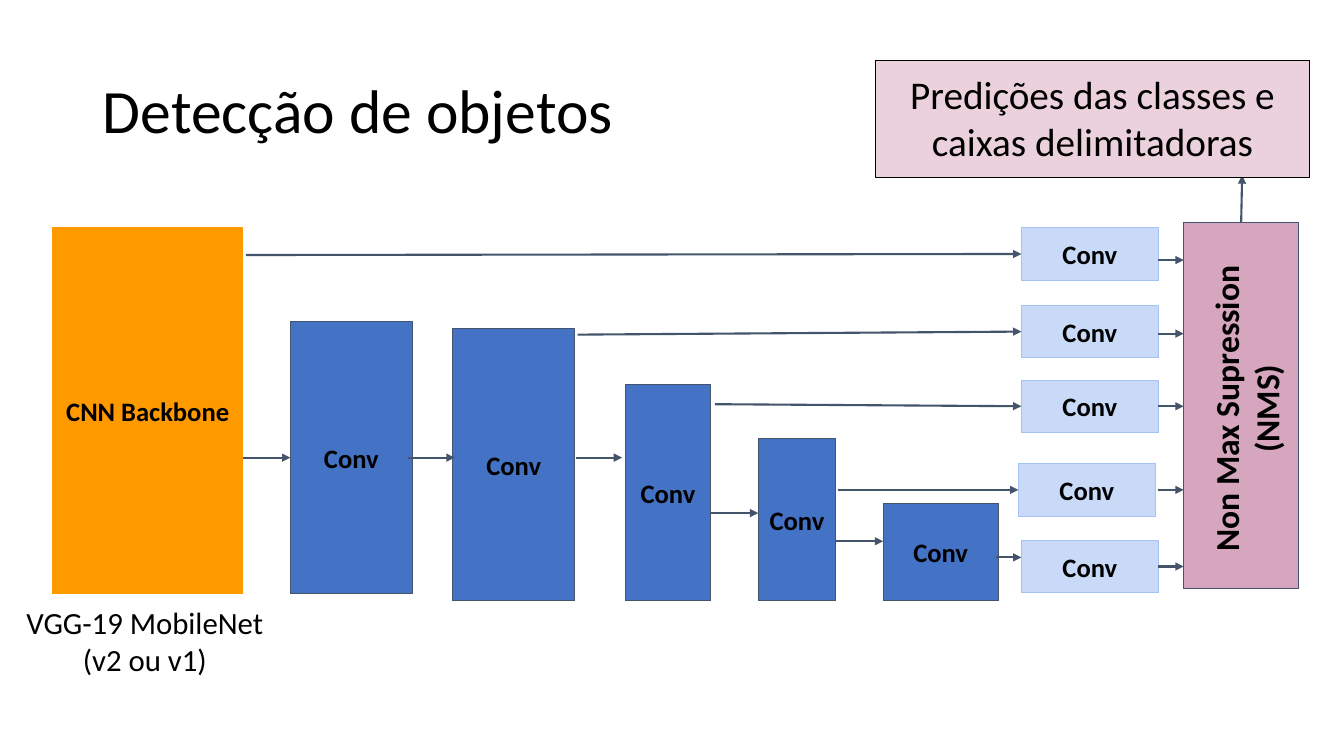
from pptx import Presentation
from pptx.dml.color import RGBColor
from pptx.enum.shapes import MSO_CONNECTOR, MSO_SHAPE
from pptx.enum.text import MSO_ANCHOR, MSO_AUTO_SIZE, PP_ALIGN
from pptx.oxml.ns import qn
from pptx.util import Inches, Pt
from lxml import etree

RECT = MSO_SHAPE.RECTANGLE
STRAIGHT = MSO_CONNECTOR.STRAIGHT
TOP, MIDDLE = MSO_ANCHOR.TOP, MSO_ANCHOR.MIDDLE
LEFT, CENTER = PP_ALIGN.LEFT, PP_ALIGN.CENTER
NO_FIT = MSO_AUTO_SIZE.NONE

BLACK = RGBColor(0x00, 0x00, 0x00)
ORANGE = RGBColor(0xFF, 0x99, 0x00)
BLUE = RGBColor(0x44, 0x72, 0xC4)
SLATE = RGBColor(0x44, 0x54, 0x6A)
PALE_BLUE = RGBColor(0xC9, 0xDA, 0xF8)
SKY = RGBColor(0xA4, 0xC2, 0xF4)
MAUVE = RGBColor(0xD5, 0xA6, 0xBD)
PINK = RGBColor(0xEA, 0xD1, 0xDC)

FONT = "Calibri"
SLIDE_W, SLIDE_H = 13.33, 7.5


def write(sp, text, size, bold=False, align=CENTER, anchor=MIDDLE):
    """Put one formatted paragraph in a shape."""
    tf = sp.text_frame
    frame = {"word_wrap": True, "auto_size": NO_FIT, "vertical_anchor": anchor}
    for side in ("left", "right", "top", "bottom"):
        frame["margin_" + side] = Inches(0.1)
    for name, value in frame.items():
        setattr(tf, name, value)
    p = tf.paragraphs[0]
    p.alignment = align
    r = p.add_run()
    r.text = text
    for name, value in {"name": FONT, "size": Pt(size), "bold": bold}.items():
        setattr(r.font, name, value)
    r.font.color.rgb = BLACK


def add_block(s, box, fill, line=None):
    """Add a flat rectangle, outlined when a line colour is given."""
    sp = s.shapes.add_shape(RECT, *map(Inches, box))
    sp.shadow.inherit = False
    sp.fill.solid()
    sp.fill.fore_color.rgb = fill
    if line is None:
        sp.line.fill.background()
    else:
        sp.line.color.rgb = line
        sp.line.width = Pt(0.75)
    return sp


def add_arrow(s, x1, y1, x2, y2):
    """Add a slate arrow between two points."""
    c = s.shapes.add_connector(STRAIGHT, *map(Inches, (x1, y1, x2, y2)))
    c.line.color.rgb = SLATE
    c.line.width = Pt(1.5)
    etree.SubElement(c.line._get_or_add_ln(), qn("a:tailEnd"), type="triangle")
    etree.SubElement(c._element.spPr, qn("a:effectLst"))


def add_title(s, box):
    """Move and format the title placeholder."""
    sp = s.shapes.title
    for name, value in zip(("left", "top", "width", "height"), box):
        setattr(sp, name, Inches(value))
    write(sp, "Detecção de objetos", 44, align=LEFT)
    sp.text_frame.paragraphs[0].line_spacing = 0.9


def add_backbone(s, box):
    """Draw the backbone block with its caption below."""
    x, y, w, h = box
    sp = add_block(s, box, ORANGE, ORANGE)
    write(sp, "CNN Backbone", 19, bold=True)
    caption = s.shapes.add_textbox(*map(Inches, (0, y + h, 1.52 * w, 0.77)))
    write(caption, "VGG-19 MobileNet (v2 ou v1)", 22, anchor=TOP)


def add_stages(s, box):
    """Draw the shrinking convolution stages and the arrows into them."""
    x, y, w, h = box
    stages = [
        (0, 0, 1.21, 2.7, -0.47, 0, 1.35),
        (1.61, 0.07, 1.21, 2.7, 1.17, 1.63, 1.35),
        (3.32, 0.62, 0.85, 2.15, 2.83, 3.29, 1.35),
        (4.64, 1.16, 0.77, 1.61, 4.17, 4.64, 1.9),
        (5.88, 1.81, 1.14, 0.96, 5.41, 5.88, 2.18),
    ]
    for dx, dy, bw, bh, start, end, level in stages:
        sp = add_block(s, (x + dx, y + dy, bw, bh), BLUE, SLATE)
        write(sp, "Conv", 19, bold=True)
        add_arrow(s, x + start, y + level, x + end, y + level)


def add_heads(s, box):
    """Draw the prediction heads with their incoming and outgoing arrows."""
    x, y, w, h = box
    heads = [
        (0, 0, 7.69, 0.27, 0.26, 0.32),
        (0, 0.77, 4.4, 1.06, 1.03, 1.05),
        (0, 1.51, 3.04, 1.75, 1.77, 1.77),
        (-0.03, 2.34, 1.82, 2.6, 2.6, 2.6),
        (0, 3.1, 0.25, 3.27, 3.27, 3.36),
    ]
    for dx, dy, reach, source, target, out in heads:
        sp = add_block(s, (x + dx, y + dy, w, 0.52), PALE_BLUE, SKY)
        write(sp, "Conv", 19, bold=True)
        add_arrow(s, x - reach, y + source, x + dx, y + target)
        add_arrow(s, x + w, y + out, x + w + 0.25, y + out)


def add_suppression(s, box):
    """Draw the suppression column with its turned label and upward arrow."""
    x, y, w, h = box
    add_block(s, box, MAUVE, SLATE)
    length, depth = 3.49, 0.89
    mid_x, mid_y = x + w / 2 - 0.01, y + h / 2 + 0.03
    label = add_block(
        s, (mid_x - length / 2, mid_y - depth / 2, length, depth), MAUVE)
    label.rotation = 270
    write(label, "Non Max Supression (NMS)", 24, bold=True, anchor=TOP)
    add_arrow(s, x + w / 2, y, x + w / 2 + 0.01, y - 0.47)


def add_output(s, box):
    """Draw the box that names the predictions."""
    sp = add_block(s, box, PINK, BLACK)
    write(sp, "Predições das classes e caixas delimitadoras", 28, anchor=TOP)


def main():
    """Build and save the slide."""
    prs = Presentation()
    prs.slide_width, prs.slide_height = Inches(SLIDE_W), Inches(SLIDE_H)
    s = prs.slides.add_slide(prs.slide_layouts[5])
    add_title(s, (0.92, 0.4, 11.5, 1.45))
    add_backbone(s, (0.52, 2.26, 1.89, 3.63))
    add_stages(s, (2.88, 3.19, 7.02, 2.77))
    add_heads(s, (10.13, 2.26, 1.36, 3.62))
    add_suppression(s, (11.74, 2.21, 1.14, 3.63))
    add_output(s, (8.68, 0.6, 4.31, 1.16))
    prs.save("out.pptx")


if __name__ == "__main__":
    main()
